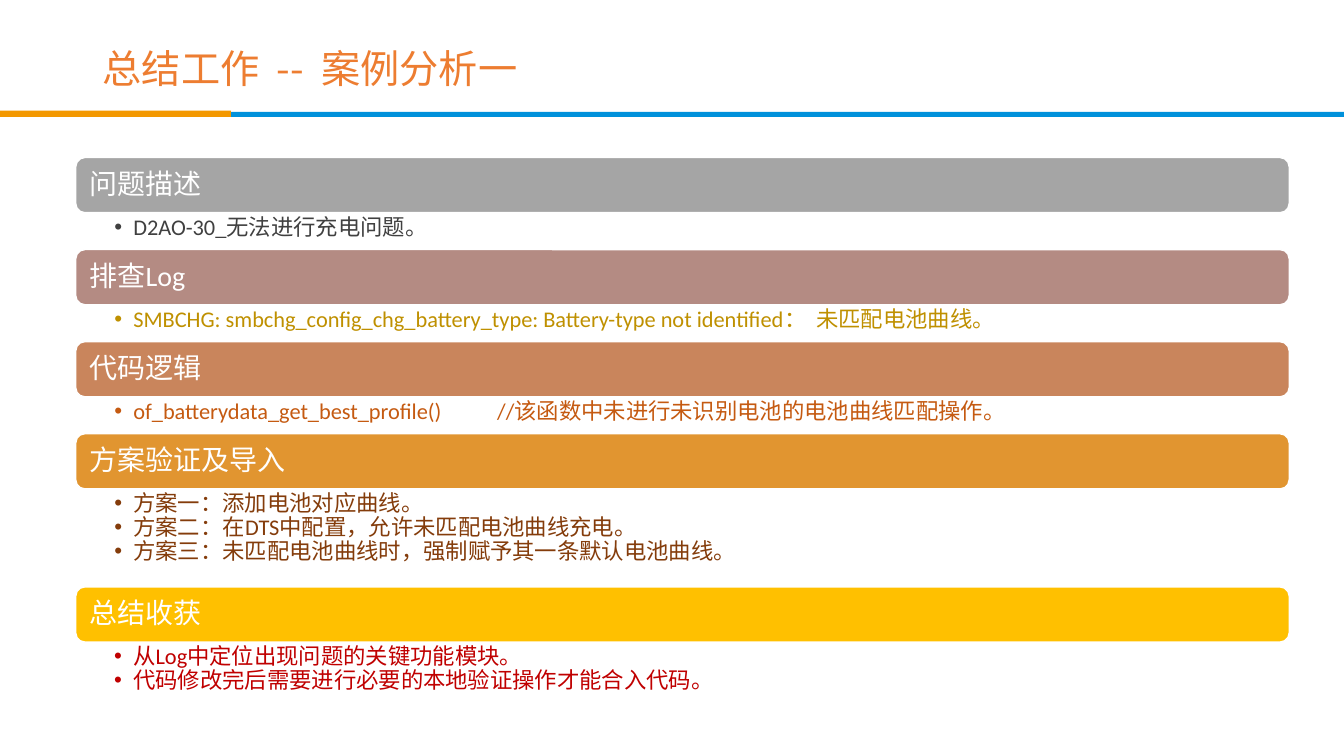
from lxml.etree import SubElement
from pptx import Presentation
from pptx.dml.color import RGBColor
from pptx.enum.shapes import MSO_SHAPE as Shape
from pptx.enum.text import MSO_ANCHOR as Anchor, MSO_AUTO_SIZE as AutoSize, PP_ALIGN as Align
from pptx.oxml.ns import qn
from pptx.util import Cm, Pt

LATIN_FONT = "Calibri"
CHINESE_FONT = "Noto Sans CJK SC"
LEFT, WIDTH, FIRST_TOP, BAR_HEIGHT = 1.91, 30.58, 3.97, 1.39
COMMENT_TAB = 9.65

SECTIONS = [
    ("问题描述", "A5A5A5", "404040", 0.93, ["D2AO-30_无法进行充电问题。"]),
    ("排查Log", "B48B83", "BF9000", 0.93, [
        "SMBCHG: smbchg_config_chg_battery_type: Battery-type not identified：  未匹配电池曲线。",
    ]),
    ("代码逻辑", "C9855C", "C55A11", 0.93, [
        "of_batterydata_get_best_profile()\t//该函数中未进行未识别电池的电池曲线匹配操作。",
    ]),
    ("方案验证及导入", "E19530", "843C0B", 2.47, [
        "方案一：添加电池对应曲线。",
        "方案二：在DTS中配置，允许未匹配电池曲线充电。",
        "方案三：未匹配电池曲线时，强制赋予其一条默认电池曲线。",
    ]),
    ("总结收获", "FFC000", "C00000", 1.6, [
        "从Log中定位出现问题的关键功能模块。",
        "代码修改完后需要进行必要的本地验证操作才能合入代码。",
    ]),
]


def color(value):
    return RGBColor.from_string(value)


def place(shape, left, top, width, height):
    shape.left, shape.top = Cm(left), Cm(top)
    shape.width, shape.height = Cm(width), Cm(height)


def add_bullet(paragraph):
    properties = paragraph._p.get_or_add_pPr()
    properties.set("marL", str(Cm(0.48)))
    properties.set("indent", str(-Cm(0.48)))
    SubElement(properties, qn("a:buFont"), typeface="Arial")
    SubElement(properties, qn("a:buChar"), char="•")
    if "\t" in paragraph.text:
        tabs = SubElement(properties, qn("a:tabLst"))
        SubElement(tabs, qn("a:tab"), pos=str(Cm(COMMENT_TAB)), algn="l")


def write_text(shape, lines, *, size, fill, latin=LATIN_FONT, bullets=False,
               anchor=Anchor.MIDDLE, insets=(0.25, 0.13, 0.25, 0.13)):
    frame = shape.text_frame
    frame.word_wrap = True
    frame.auto_size = AutoSize.NONE
    frame.vertical_anchor = anchor
    (frame.margin_left, frame.margin_top,
     frame.margin_right, frame.margin_bottom) = map(Cm, insets)
    for index, line in enumerate(lines):
        paragraph = frame.paragraphs[0] if index == 0 else frame.add_paragraph()
        paragraph.alignment = Align.LEFT
        paragraph.line_spacing = 0.9
        paragraph.space_before = paragraph.space_after = Pt(0)
        run = paragraph.add_run()
        run.text = line
        font = run.font
        font.size, font.bold, font.name = Pt(size), False, latin
        font.color.rgb = color(fill)
        SubElement(run._r.get_or_add_rPr(), qn("a:ea"), typeface=CHINESE_FONT)
        if bullets:
            add_bullet(paragraph)


def add_box(slide, kind, left, top, width, height, fill, outline=None):
    shape = slide.shapes.add_shape(kind, Cm(left), Cm(top), Cm(width), Cm(height))
    shape.shadow.inherit = False
    shape.fill.solid()
    shape.fill.fore_color.rgb = color(fill)
    if outline:
        shape.line.color.rgb = color(outline)
        shape.line.width = Pt(1)
    else:
        shape.line.fill.background()
    return shape


def add_section(slide, list_shape, top, heading, bar_fill, list_fill, list_height, lines):
    bar = add_box(slide, Shape.ROUNDED_RECTANGLE, LEFT, top, WIDTH, BAR_HEIGHT,
                  bar_fill, outline="FFFFFF")
    write_text(bar, [heading], size=20, fill="FFFFFF", insets=(0.28, 0.2, 0.28, 0.2))
    place(list_shape, LEFT, top + BAR_HEIGHT, WIDTH, list_height)
    write_text(list_shape, lines, size=16, fill=list_fill, bullets=True,
               anchor=Anchor.TOP, insets=(0.97, 0.08, 0.41, 0.08))


def main():
    presentation = Presentation()
    presentation.slide_width, presentation.slide_height = Cm(33.87), Cm(19.05)
    slide = presentation.slides.add_slide(
        presentation.slide_layouts.get_by_name("Comparison"))

    add_box(slide, Shape.RECTANGLE, 0, 2.82, 33.87, 0.13, "0091DB")
    add_box(slide, Shape.RECTANGLE, 0, 2.79, 5.82, 0.16, "F39800")

    title, *list_shapes = slide.placeholders
    place(title, 2.34, 1.02, 27.69, 1.52)
    write_text(title, ["总结工作  --  案例分析一"], size=28, fill="ED7D31",
               latin=CHINESE_FONT)

    list_shapes.append(slide.shapes.add_textbox(0, 0, 0, 0))
    top = FIRST_TOP
    for list_shape, section in zip(list_shapes, SECTIONS):
        add_section(slide, list_shape, top, *section)
        top += BAR_HEIGHT + section[3]

    presentation.save("out.pptx")


if __name__ == "__main__":
    main()
